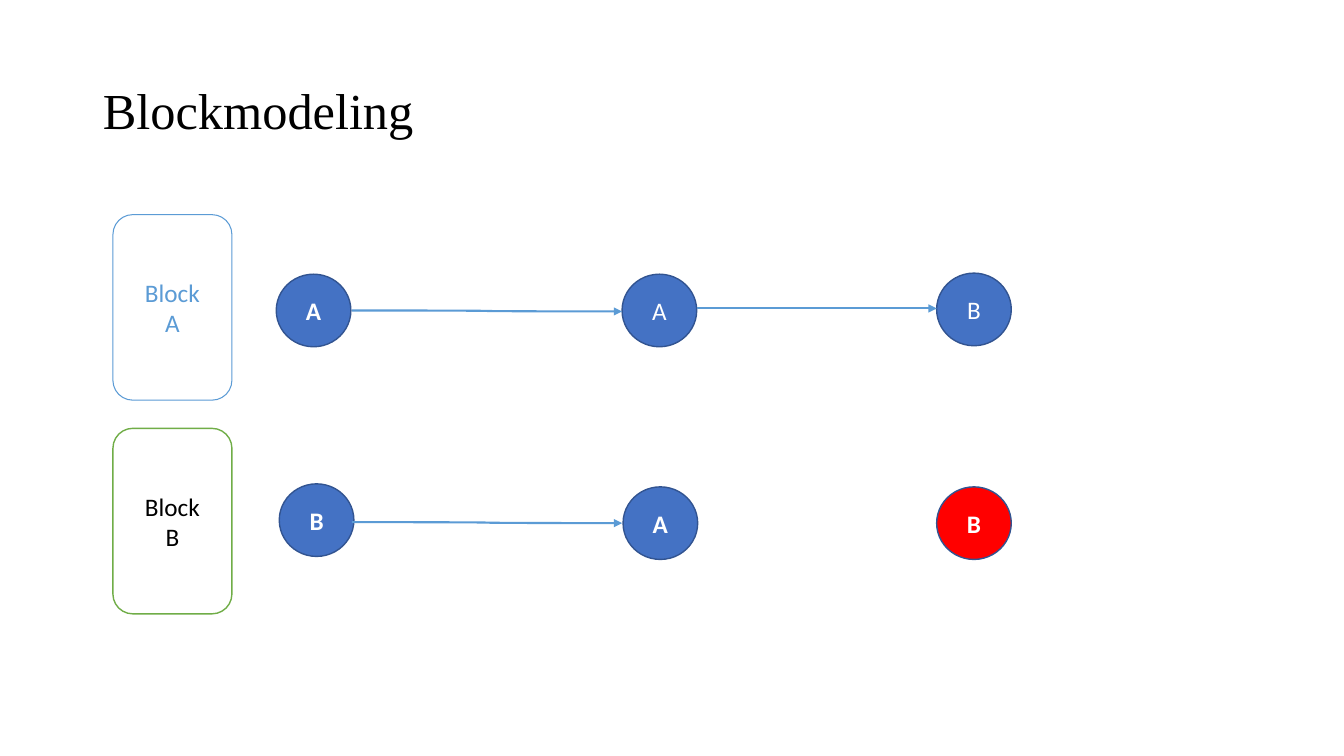
from lxml import etree
from pptx import Presentation
from pptx.dml.color import RGBColor
from pptx.enum.shapes import MSO_CONNECTOR as Connector, MSO_SHAPE as Shape
from pptx.enum.text import MSO_ANCHOR as Anchor, PP_ALIGN as Align
from pptx.oxml.ns import qn
from pptx.util import Inches, Pt

BLUE, LIGHT_BLUE, GREEN, RED = "4472C4", "5B9BD5", "70AD47", "FF0000"
NODE_LINE, BLACK, WHITE = "325491", "000000", "FFFFFF"
NODE_WIDTH, NODE_HEIGHT = 0.74, 0.72
BLOCK_WIDTH, BLOCK_HEIGHT = 1.18, 1.84


def color(value):
    return RGBColor.from_string(value)


def add_title(slide, text, left, top, width, height):
    title = slide.shapes.title
    title.left, title.top = Inches(left), Inches(top)
    title.width, title.height = Inches(width), Inches(height)
    title.text_frame.text = text
    title.text_frame.vertical_anchor = Anchor.MIDDLE
    paragraph = title.text_frame.paragraphs[0]
    paragraph.alignment = Align.LEFT
    paragraph.line_spacing = 0.9
    paragraph.font.name = "Times New Roman"
    paragraph.font.size = Pt(36)
    paragraph.font.color.rgb = color(BLACK)


def add_label_shape(slide, kind, box, text, fill, line, line_width, text_color, bold=False):
    shape = slide.shapes.add_shape(kind, *map(Inches, box))
    shape.shadow.inherit = False
    if fill:
        shape.fill.solid()
        shape.fill.fore_color.rgb = color(fill)
    else:
        shape.fill.background()
    shape.line.color.rgb = color(line)
    shape.line.width = Pt(line_width)
    frame = shape.text_frame
    frame.text = text
    frame.vertical_anchor = Anchor.MIDDLE
    for paragraph in frame.paragraphs:
        paragraph.alignment = Align.CENTER
        paragraph.font.name = "Calibri"
        paragraph.font.size = Pt(18)
        paragraph.font.bold = bold
        paragraph.font.color.rgb = color(text_color)


def add_arrow(slide, kind, *ends):
    arrow = slide.shapes.add_connector(kind, *map(Inches, ends))
    arrow.line.color.rgb = color(LIGHT_BLUE)
    arrow.line.width = Pt(1.5)
    etree.SubElement(arrow.line._get_or_add_ln(), qn("a:tailEnd"), type="triangle")
    etree.SubElement(arrow._element.spPr, qn("a:effectLst"))


def add_block_row(slide, left, top, block, nodes, arrows):
    add_label_shape(slide, Shape.ROUNDED_RECTANGLE, (left, top, BLOCK_WIDTH, BLOCK_HEIGHT), *block)
    for x, y, text, fill, bold in nodes:
        box = (left + x, top + y, NODE_WIDTH, NODE_HEIGHT)
        add_label_shape(slide, Shape.OVAL, box, text, fill, NODE_LINE, 1, WHITE, bold)
    for kind, x1, y1, x2, y2 in arrows:
        add_arrow(slide, kind, left + x1, top + y1, left + x2, top + y2)


def build_slide(presentation):
    slide = presentation.slides.add_slide(presentation.slide_layouts[5])
    add_title(slide, "Blockmodeling", 0.92, 0.4, 11.5, 1.45)
    add_block_row(
        slide, 1.12, 2.13,
        ("Block\nA", None, LIGHT_BLUE, 0.75, LIGHT_BLUE),
        [(1.62, 0.59, "A", BLUE, True), (5.05, 0.59, "A", BLUE, False), (8.17, 0.58, "B", BLUE, False)],
        [(Connector.CURVE, 2.37, 0.95, 5.05, 0.96), (Connector.STRAIGHT, 5.79, 0.93, 8.17, 0.93)],
    )
    add_block_row(
        slide, 1.12, 4.25,
        ("Block\nB", WHITE, GREEN, 1, BLACK),
        [(1.65, 0.55, "B", BLUE, True), (5.06, 0.58, "A", BLUE, True), (8.17, 0.58, "B", RED, True)],
        [(Connector.CURVE, 2.37, 0.93, 5.05, 0.94)],
    )


def main():
    presentation = Presentation()
    presentation.slide_width, presentation.slide_height = Inches(13.33), Inches(7.5)
    build_slide(presentation)
    presentation.save("out.pptx")


if __name__ == "__main__":
    main()
